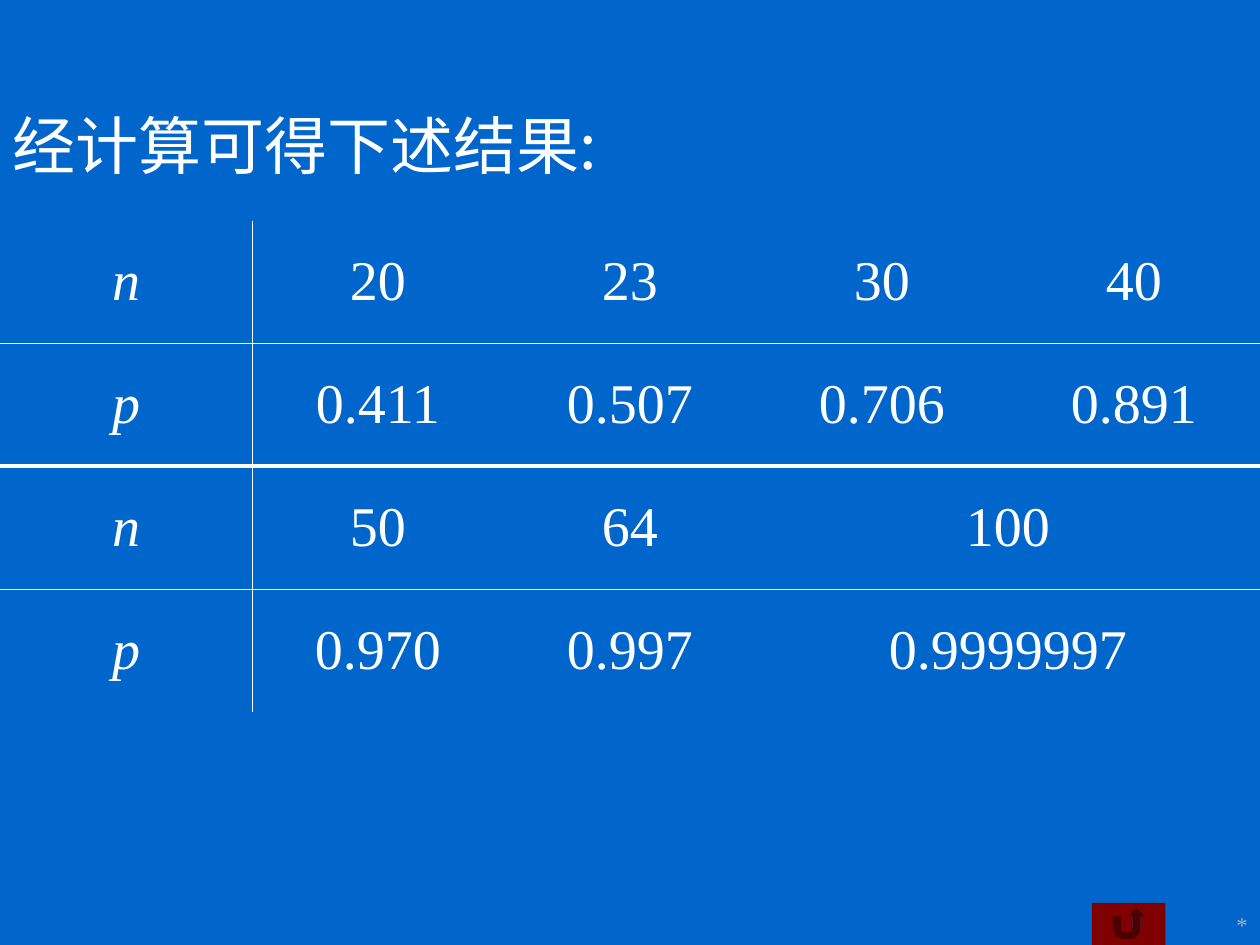
import pptx
import pptx.util
import pptx.dml.color
import pptx.enum.shapes
import pptx.enum.text
import pptx.oxml.ns
from lxml import etree

Pt = pptx.util.Pt
Shape = pptx.enum.shapes.MSO_SHAPE
Align = pptx.enum.text.PP_ALIGN
Anchor = pptx.enum.text.MSO_ANCHOR

TITLE = "经计算可得下述结果:"
ROWS = [
    ["n", "20", "23", "30", "40"],
    ["p", "0.411", "0.507", "0.706", "0.891"],
    ["n", "50", "64", "100"],
    ["p", "0.970", "0.997", "0.9999997"],
]
COLS = 5
WIDE, HIGH = 720, 540
TOP, ROW = 126, 70.2
THEME = {
    "back": "0066CC", "text": "FFFFFF", "mark": "B2B2B2", "button": "800000",
    "serif": "Times New Roman", "sans": "Noto Sans CJK SC",
    "title": 36, "cell": 32, "note": 12.9,
    "thin": 0.45, "thick": 2.2,
}


def color(key):
    return pptx.dml.color.RGBColor.from_string(THEME[key])


def write(frame, text, face, size, ink, align):
    frame.word_wrap = True
    para = frame.paragraphs[0]
    para.text = text
    para.alignment = align
    font = para.font
    font.name = THEME[face]
    font.size = Pt(THEME[size])
    font.color.rgb = color(ink)
    return para


def label(slide, box, *style):
    frame = slide.shapes.add_textbox(*map(Pt, box)).text_frame
    frame.vertical_anchor = Anchor.MIDDLE
    return write(frame, *style)


def element(parent, tag, **attrs):
    return etree.SubElement(parent, pptx.oxml.ns.qn(tag), **attrs)


def border(cell, side, weight):
    props = cell._tc.get_or_add_tcPr()
    if weight:
        line = element(props, "a:ln" + side, w=str(Pt(THEME[weight])))
        fill = element(line, "a:solidFill")
        element(fill, "a:srgbClr", val=THEME["text"])
    else:
        element(element(props, "a:ln" + side, w="0"), "a:noFill")


def results(slide):
    count = len(ROWS)
    table = slide.shapes.add_table(
        count, COLS, Pt(0), Pt(TOP), Pt(WIDE), Pt(ROW * count)).table
    table.first_row = table.horz_banding = False
    rules = [None, "thin", "thick", "thin", None]
    for i, row in enumerate(ROWS):
        table.rows[i].height = Pt(ROW)
        for j in range(COLS):
            cell = table.cell(i, j)
            border(cell, "L", "thin" if j == 1 else None)
            border(cell, "R", "thin" if j == 0 else None)
            border(cell, "T", rules[i])
            border(cell, "B", rules[i + 1])
            cell.fill.background()
            cell.vertical_anchor = Anchor.MIDDLE
        if len(row) < COLS:
            table.cell(i, len(row) - 1).merge(table.cell(i, COLS - 1))
        for j, text in enumerate(row):
            para = write(table.cell(i, j).text_frame, text,
                         "serif", "cell", "text", Align.CENTER)
            para.space_before = Pt(8)
            para.font.italic = j == 0


def button(slide):
    shape = slide.shapes.add_shape(
        Shape.ACTION_BUTTON_RETURN, Pt(624), Pt(516), Pt(42), Pt(24))
    shape.shadow.inherit = False
    shape.fill.solid()
    shape.fill.fore_color.rgb = color("button")
    shape.line.fill.background()


def main():
    deck = pptx.Presentation()
    deck.slide_width, deck.slide_height = Pt(WIDE), Pt(HIGH)
    slide = deck.slides.add_slide(deck.slide_layouts[6])
    slide.background.fill.solid()
    slide.background.fill.fore_color.rgb = color("back")
    button(slide)
    label(slide, (672, 516, 48, 24), "*", "serif", "note", "mark", Align.RIGHT)
    para = label(slide, (0, 55.5, WIDE, 54), TITLE,
                 "sans", "title", "text", Align.LEFT)
    element(para.font._element, "a:ea", typeface=THEME["sans"])
    results(slide)
    deck.save("out.pptx")


if __name__ == "__main__":
    main()
